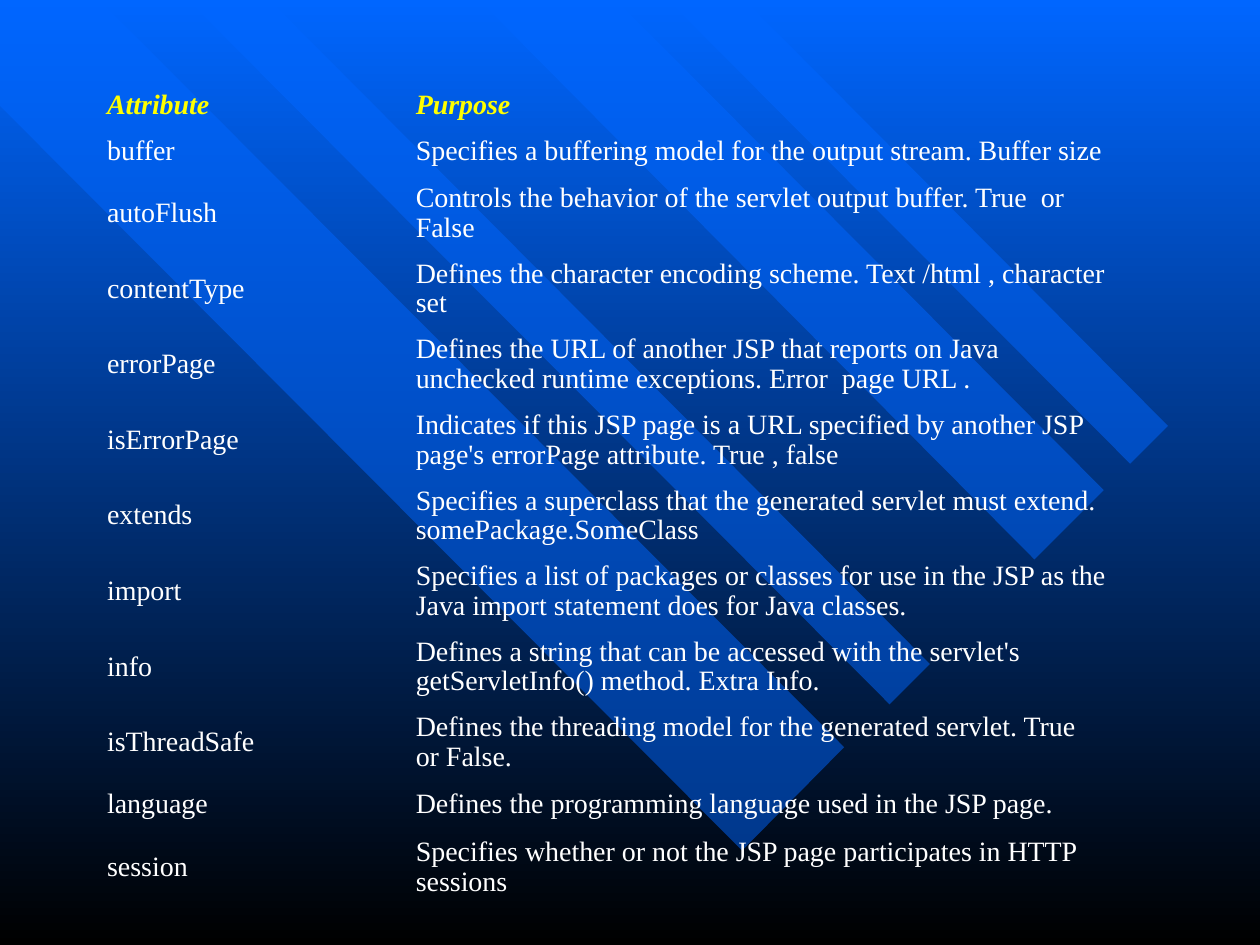
"""Build a slide that lists the attributes of the JSP page directive."""
from dataclasses import dataclass

from lxml import etree
from pptx import Presentation
from pptx import util as u
from pptx.dml.color import RGBColor
from pptx.enum import text
from pptx.oxml.ns import qn


@dataclass(frozen=True)
class Theme:
    """Colours, type and table measures of the slide."""
    blue: RGBColor = RGBColor(0x00, 0x66, 0xFF)
    black: RGBColor = RGBColor(0x00, 0x00, 0x00)
    heading: RGBColor = RGBColor(0xFF, 0xFF, 0x00)
    body: RGBColor = RGBColor(0xFF, 0xFF, 0xFF)
    font: str = "Times New Roman"
    size: u.Pt = u.Pt(16)
    line_spacing: float = 0.95
    band_opacity: int = 50
    header_height: float = 0.32
    one_line_height: float = 0.39
    two_line_height: float = 0.6
    line_chars: int = 63


THEME = Theme()
NO_GRID_STYLE = "{2D5ABB26-0587-4C30-8999-92F81FD0307C}"

BANDS = [
    [(6.7, 5.93), (0.79, 0), (0, 0), (0, 0.84), (5.89, 6.75)],
    [(2.14, 0), (7.38, 5.27), (7.06, 5.59), (1.49, 0)],
    [(4.89, 0), (8.76, 3.89), (8.21, 4.44), (3.8, 0)],
    [(5.3, 0), (8.97, 3.68), (9.27, 3.38), (5.91, 0)],
]

COLUMN_WIDTHS = (2.45, 5.72)
ATTRIBUTES = [
    ("Attribute", "Purpose"),
    ("buffer", "Specifies a buffering model for the output stream. Buffer size"),
    ("autoFlush", "Controls the behavior of the servlet output buffer. True  or False"),
    ("contentType", "Defines the character encoding scheme. Text /html , character set"),
    ("errorPage", "Defines the URL of another JSP that reports on Java unchecked "
                  "runtime exceptions. Error  page URL ."),
    ("isErrorPage", "Indicates if this JSP page is a URL specified by another JSP "
                    "page's errorPage attribute. True , false"),
    ("extends", "Specifies a superclass that the generated servlet must extend. "
                "somePackage.SomeClass"),
    ("import", "Specifies a list of packages or classes for use in the JSP as the "
               "Java import statement does for Java classes."),
    ("info", "Defines a string that can be accessed with the servlet's "
             "getServletInfo() method. Extra Info."),
    ("isThreadSafe", "Defines the threading model for the generated servlet. "
                     "True  or False."),
    ("language", "Defines the programming language used in the JSP page."),
    ("session", "Specifies whether or not the JSP page participates in HTTP sessions"),
]


def set_background(s):
    """Fade the background from blue at the top to black."""
    fill = s.background.fill
    fill.gradient()
    fill.gradient_angle = 270
    for stop, color in zip(fill.gradient_stops, (THEME.blue, THEME.black)):
        stop.color.rgb = color


def add_band(s, points):
    """Draw one translucent diagonal band."""
    start, *rest = [(u.Inches(x), u.Inches(y)) for x, y in points]
    builder = s.shapes.build_freeform(*start)
    builder.add_line_segments(rest, close=True)
    sp = builder.convert_to_shape()
    sp.shadow.inherit = False
    sp.line.fill.background()
    sp.fill.solid()
    sp.fill.fore_color.rgb = THEME.blue
    color = sp.fill._xPr.find(qn("a:solidFill"))[0]
    etree.SubElement(color, qn("a:alpha"), val=str(THEME.band_opacity * 1000))


def row_height(index, purpose):
    """Return the height in inches that a row needs."""
    if index == 0:
        return THEME.header_height
    if len(purpose) <= THEME.line_chars:
        return THEME.one_line_height
    return THEME.two_line_height


def fill_cell(cell, words, is_header):
    """Write and format one table cell."""
    cell.fill.background()
    cell.vertical_anchor = text.MSO_ANCHOR.MIDDLE
    p = cell.text_frame.paragraphs[0]
    p.text = words
    p.line_spacing = THEME.line_spacing
    p.font.name = THEME.font
    p.font.size = THEME.size
    p.font.bold = p.font.italic = is_header
    p.font.color.rgb = THEME.heading if is_header else THEME.body


def add_attribute_table(s):
    """Add the two-column table without grid lines."""
    heights = [row_height(i, purpose) for i, (_, purpose) in enumerate(ATTRIBUTES)]
    frame = s.shapes.add_table(
        len(ATTRIBUTES), len(COLUMN_WIDTHS), u.Inches(0.75), u.Inches(0.67),
        u.Inches(sum(COLUMN_WIDTHS)), u.Inches(sum(heights)))
    table = frame.table
    table.first_row = table.horz_banding = False
    table._tbl.tblPr.find(qn("a:tableStyleId")).text = NO_GRID_STYLE
    for column, width in zip(table.columns, COLUMN_WIDTHS):
        column.width = u.Inches(width)
    for i, (row, height, words) in enumerate(zip(table.rows, heights, ATTRIBUTES)):
        row.height = u.Inches(height)
        for cell, value in zip(row.cells, words):
            fill_cell(cell, value, i == 0)


def main():
    """Build and save the slide."""
    prs = Presentation()
    prs.slide_width, prs.slide_height = u.Inches(10), u.Inches(7.5)
    s = prs.slides.add_slide(prs.slide_layouts[6])
    set_background(s)
    for points in BANDS:
        add_band(s, points)
    add_attribute_table(s)
    prs.save("out.pptx")


if __name__ == "__main__":
    main()
